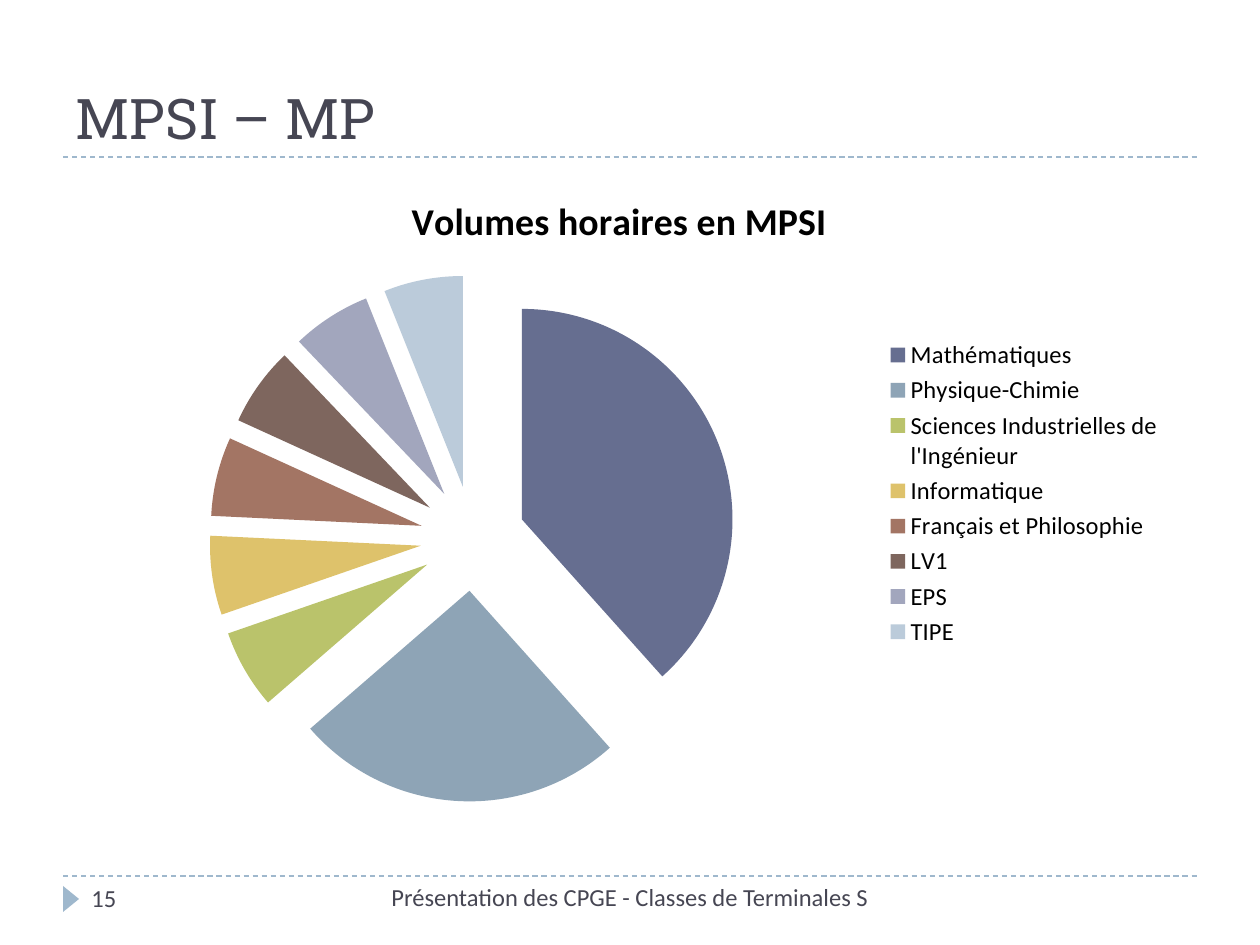
import pptx
import pptx.chart.data
import pptx.dml.color
import pptx.enum.chart
import pptx.enum.dml
import pptx.enum.shapes
import pptx.enum.text
import pptx.oxml
import pptx.util
import lxml.etree

TITLE = "MPSI – MP"
CHART_TITLE = "Volumes horaires en MPSI"
SUBJECTS = [
    ("Mathématiques", 38, "666E90"),
    ("Physique-Chimie", 25, "8EA4B6"),
    ("Sciences Industrielles de l'Ingénieur", 6, "BAC36B"),
    ("Informatique", 6, "DEC26B"),
    ("Français et Philosophie", 6, "A37564"),
    ("LV1", 6, "7E665E"),
    ("EPS", 6, "A2A6BD"),
    ("TIPE", 6, "BBCBDA"),
]
EXPLOSION = 25
INK, ACCENT = "464653", "9FB8CD"
RULES_Y = [157, 876]
FOOTERS = [
    ("Présentation des CPGE - Classes de Terminales S", (333, 876, 594, 50), "CENTER"),
    ("15", (79, 877, 273, 50), "LEFT"),
]


def px(n):
    return pptx.util.Emu(round(n * 914400 / 126))


def box(*lengths):
    return [px(n) for n in lengths]


def rgb(value):
    return pptx.dml.color.RGBColor.from_string(value)


def style_font(font, size, color="000000", name="Calibri", bold=False):
    font.size, font.name, font.bold = pptx.util.Pt(size), name, bold
    font.color.rgb = rgb(color)


def write(tf, text, size=14, color=INK, name="Calibri", bold=False, align="LEFT", anchor="TOP"):
    tf.word_wrap = True
    tf.auto_size = pptx.enum.text.MSO_AUTO_SIZE.NONE
    tf.vertical_anchor = pptx.enum.text.MSO_ANCHOR[anchor]
    p = tf.paragraphs[0]
    p.alignment = pptx.enum.text.PP_ALIGN[align]
    r = p.add_run()
    r.text = text
    style_font(r.font, size, color, name, bold)


def add_rule(s, y):
    line = s.shapes.add_connector(
        pptx.enum.shapes.MSO_CONNECTOR.STRAIGHT, *box(63, y, 1197, y))
    line.line.color.rgb = rgb(ACCENT)
    line.line.width = pptx.util.Pt(0.75)
    line.line.dash_style = pptx.enum.dml.MSO_LINE.DASH
    lxml.etree.SubElement(line._element.spPr, pptx.oxml.ns.qn("a:effectLst"))


def add_pie(s):
    data = pptx.chart.data.CategoryChartData()
    data.categories = [name for name, _, _ in SUBJECTS]
    data.add_series("Series 1", [value for _, value, _ in SUBJECTS])
    chart = s.shapes.add_chart(
        pptx.enum.chart.XL_CHART_TYPE.PIE, *box(63, 168, 1113, 651), data).chart
    style_font(chart.font, 18)
    chart.has_title = True
    p = chart.chart_title.text_frame.paragraphs[0]
    r = p.add_run()
    r.text = CHART_TITLE
    style_font(r.font, 21.6, bold=True)
    chart.chart_title.include_in_layout = False
    chart.has_legend = True
    chart.legend.position = pptx.enum.chart.XL_LEGEND_POSITION.RIGHT
    chart.legend.include_in_layout = False
    style_font(chart.legend.font, 14)
    plot = chart.plots[0]
    plot.vary_by_categories = True
    series = plot.series[0]
    for i, (_, _, color) in enumerate(SUBJECTS):
        fill = series.points[i].format.fill
        fill.solid()
        fill.fore_color.rgb = rgb(color)
    explosion = lxml.etree.Element(pptx.oxml.ns.qn("c:explosion"), val=str(EXPLOSION))
    series._element.find(pptx.oxml.ns.qn("c:dPt")).addprevious(explosion)
    for point in series._element.findall(pptx.oxml.ns.qn("c:dPt")):
        offset = lxml.etree.Element(pptx.oxml.ns.qn("c:explosion"), val=str(EXPLOSION))
        point.find(pptx.oxml.ns.qn("c:spPr")).addprevious(offset)


def main():
    prs = pptx.Presentation()
    prs.slide_width, prs.slide_height = box(1260, 945)
    s = prs.slides.add_slide(prs.slide_layouts[5])

    for y in RULES_Y:
        add_rule(s, y)

    marker = s.shapes.add_shape(
        pptx.enum.shapes.MSO_SHAPE.ISOSCELES_TRIANGLE, *box(58, 891, 26, 16))
    marker.rotation = 90
    marker.shadow.inherit = False
    marker.fill.solid()
    marker.fill.fore_color.rgb = rgb(ACCENT)
    marker.line.fill.background()

    title = s.shapes.title
    title.left, title.top, title.width, title.height = box(63, 21, 1134, 136)
    write(title.text_frame, TITLE, size=32, name="Roboto Slab", anchor="BOTTOM")

    add_pie(s)

    for text, place, align in FOOTERS:
        sp = s.shapes.add_textbox(*box(*place))
        write(sp.text_frame, text, align=align)

    prs.save("out.pptx")


if __name__ == "__main__":
    main()
